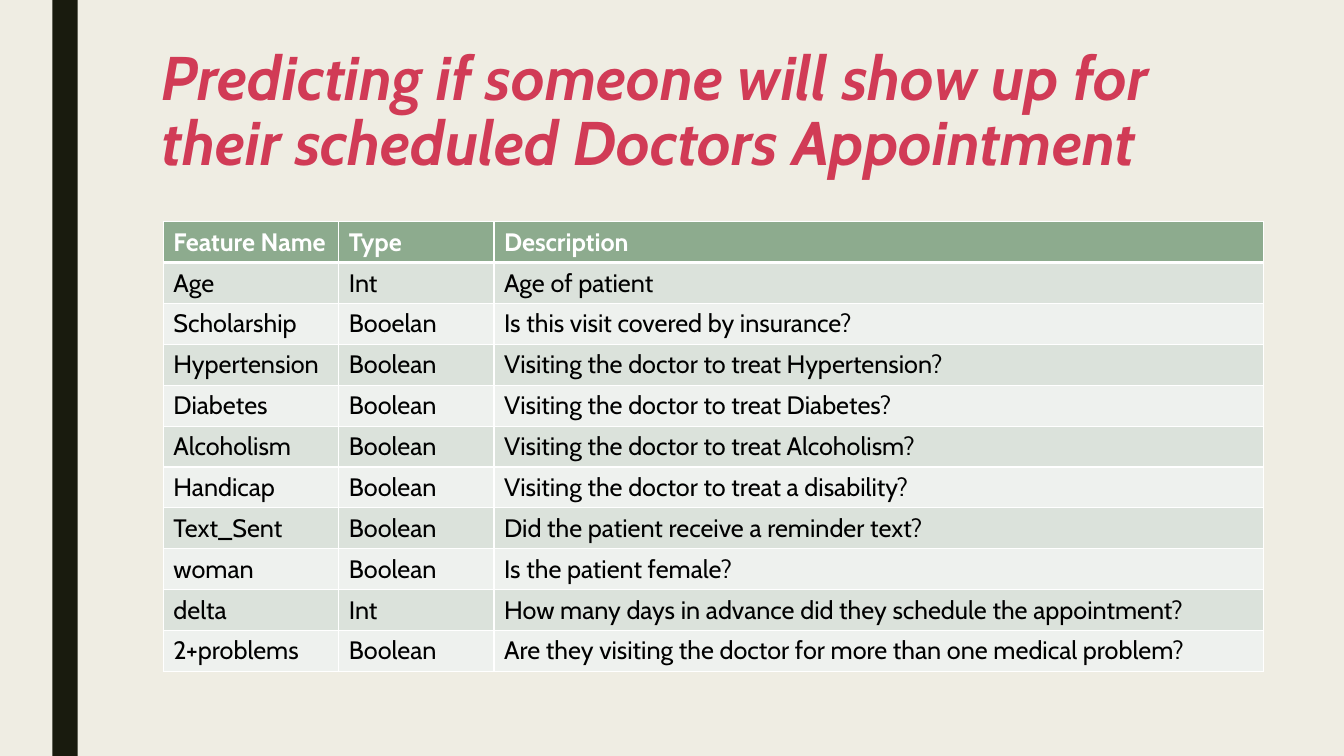
from dataclasses import dataclass

from lxml.etree import SubElement
from pptx import Presentation
from pptx.dml.color import RGBColor
from pptx.enum.shapes import MSO_SHAPE
from pptx.enum.text import MSO_ANCHOR, MSO_AUTO_SIZE, PP_ALIGN
from pptx.oxml.ns import qn
from pptx.util import Inches, Pt


@dataclass(frozen=True)
class Theme:
    font: str = "Cabin"
    background: str = "EFEDE3"
    bar: str = "191B0E"
    title: str = "D13B56"
    header: str = "8DAB8E"
    bands: tuple = ("DBE2DB", "EEF1EE")
    text: str = "000000"
    white: str = "FFFFFF"
    title_size: int = 44
    table_size: int = 18


THEME = Theme()
TITLE = "Predicting if someone will show up for their scheduled Doctors Appointment"
FEATURES = [
    ("Feature Name", "Type", "Description"),
    ("Age", "Int", "Age of patient"),
    ("Scholarship", "Booelan", "Is this visit covered by insurance?"),
    ("Hypertension", "Boolean", "Visiting the doctor to treat Hypertension?"),
    ("Diabetes", "Boolean", "Visiting the doctor to treat Diabetes?"),
    ("Alcoholism", "Boolean", "Visiting the doctor to treat Alcoholism?"),
    ("Handicap", "Boolean", "Visiting the doctor to treat a disability?"),
    ("Text_Sent", "Boolean", "Did the patient receive a reminder text?"),
    ("woman", "Boolean", "Is the patient female?"),
    ("delta", "Int", "How many days in advance did they schedule the appointment?"),
    ("2+problems", "Boolean", "Are they visiting the doctor for more than one medical problem?"),
]
COLUMN_WIDTHS = (1.74, 1.54, 7.63)
ROW_HEIGHT = 0.4


def set_fill(fill, color):
    fill.solid()
    fill.fore_color.rgb = RGBColor.from_string(color)


def write(tf, text, size, color, **font):
    p = tf.paragraphs[0]
    p.alignment = PP_ALIGN.LEFT
    r = p.add_run()
    r.text = text
    for name, value in {"name": THEME.font, "size": Pt(size), **font}.items():
        setattr(r.font, name, value)
    r.font.color.rgb = RGBColor.from_string(color)
    return p


def set_borders(cell, **widths):
    """Draw white borders; widths in points by side (L, R, T, B)."""
    tc_pr = cell._tc.get_or_add_tcPr()
    for i, (side, width) in enumerate(widths.items()):
        ln = SubElement(tc_pr, qn(f"a:ln{side}"), w=str(Pt(width)))
        tc_pr.insert(i, ln)
        fill = SubElement(ln, qn("a:solidFill"))
        SubElement(fill, qn("a:srgbClr"), val=THEME.white)


def add_side_bar(s):
    bar = s.shapes.add_shape(
        MSO_SHAPE.RECTANGLE, Inches(0.52), Inches(0), Inches(0.25), Inches(7.5))
    bar.shadow.inherit = False
    set_fill(bar.fill, THEME.bar)
    bar.line.fill.background()


def format_title(s):
    title = s.shapes.title
    box = {"left": 1.5, "top": 0.42, "width": 10.5, "height": 1.62}
    for name, value in box.items():
        setattr(title, name, Inches(value))
    tf = title.text_frame
    tf.word_wrap = True
    tf.auto_size = MSO_AUTO_SIZE.NONE
    tf.vertical_anchor = MSO_ANCHOR.TOP
    p = write(tf, TITLE, THEME.title_size, THEME.title, bold=True, italic=True)
    p.line_spacing = 0.89


def add_feature_table(s):
    table = s.shapes.add_table(
        len(FEATURES), len(COLUMN_WIDTHS), Inches(1.62), Inches(2.2),
        Inches(sum(COLUMN_WIDTHS)), Inches(ROW_HEIGHT * len(FEATURES))).table
    table.horz_banding = False
    for column, width in zip(table.columns, COLUMN_WIDTHS):
        column.width = Inches(width)
    for i, texts in enumerate(FEATURES):
        header = i == 0
        fill = THEME.header if header else THEME.bands[(i - 1) % 2]
        color = THEME.white if header else THEME.text
        for cell, text in zip(table.rows[i].cells, texts):
            set_fill(cell.fill, fill)
            set_borders(cell, L=1, R=1, T=3 if i == 1 else 1, B=3 if header else 1)
            write(cell.text_frame, text, THEME.table_size, color, bold=header)


def main():
    prs = Presentation()
    prs.slide_width, prs.slide_height = Inches(13.33), Inches(7.5)
    s = prs.slides.add_slide(prs.slide_layouts.get_by_name("Title Only"))
    set_fill(s.background.fill, THEME.background)
    add_side_bar(s)
    format_title(s)
    add_feature_table(s)
    prs.save("out.pptx")


if __name__ == "__main__":
    main()
